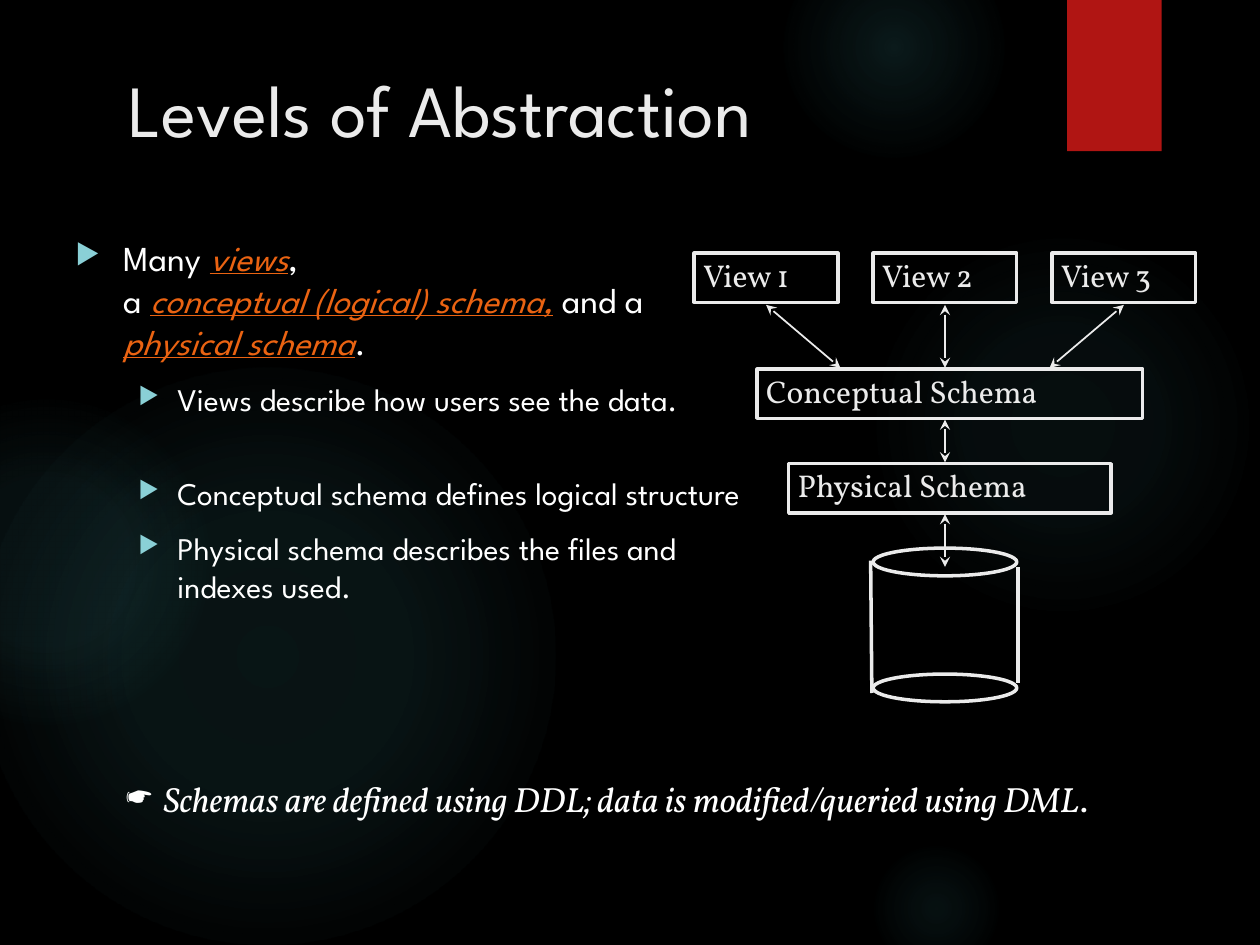
"""Build the Levels of Abstraction slide."""
from dataclasses import dataclass

from lxml.etree import SubElement
from pptx import Presentation
from pptx.dml.color import RGBColor
from pptx.enum.shapes import MSO_CONNECTOR, MSO_SHAPE
from pptx.enum.text import MSO_ANCHOR, PP_ALIGN
from pptx.oxml.ns import qn
from pptx.util import Inches, Pt


@dataclass(frozen=True)
class Theme:
    sans: str = "League Spartan"
    serif: str = "Vollkorn"
    background: str = "000000"
    light: str = "EBEBEB"
    white: str = "FFFFFF"
    accent: str = "EA6312"
    ribbon: str = "B01513"
    bullet: str = "8AD0D6"
    glow: str = "50B9C1"
    title: int = 42
    body: int = 20
    label: int = 18
    outline: int = 2
    arrow: int = 1


THEME = Theme()


def rgb(value):
    return RGBColor.from_string(value)


def add_xml(parent, tag, **attrs):
    return SubElement(parent, qn(tag), {k: str(v) for k, v in attrs.items()})


def add_run(p, text, size, font, color, italic=False, underline=False):
    r = p.add_run()
    r.text = text
    r.font.size = Pt(size)
    r.font.name = font
    r.font.color.rgb = rgb(color)
    r.font.italic = italic
    r.font.underline = underline


def set_bullet(p, char, margin, hang, color, percent=100):
    pPr = p._p.get_or_add_pPr()
    pPr.set("marL", str(Inches(margin)))
    pPr.set("indent", str(-Inches(hang)))
    add_xml(add_xml(pPr, "a:buClr"), "a:srgbClr", val=color)
    add_xml(pPr, "a:buSzPct", val=percent * 1000)
    add_xml(pPr, "a:buChar", char=char)


def add_text_box(s, x, y, w, h):
    box = s.shapes.add_textbox(Inches(x), Inches(y), Inches(w), Inches(h))
    box.text_frame.word_wrap = True
    return box.text_frame


def add_shape(s, kind, x, y, w, h, fill=None, line=None):
    sp = s.shapes.add_shape(kind, Inches(x), Inches(y), Inches(w), Inches(h))
    sp.shadow.inherit = False
    if fill:
        sp.fill.solid()
        sp.fill.fore_color.rgb = rgb(fill)
    else:
        sp.fill.background()
    if line:
        sp.line.color.rgb = rgb(line)
        sp.line.width = Pt(THEME.outline)
    else:
        sp.line.fill.background()
    return sp


def add_glow(s, x, y, size, stops):
    sp = add_shape(s, MSO_SHAPE.OVAL, x, y, size, size)
    sp.fill.gradient()
    grad = sp._element.spPr.find(qn("a:gradFill"))
    for child in list(grad):
        grad.remove(child)
    stop_list = add_xml(grad, "a:gsLst")
    for position, alpha in stops:
        stop = add_xml(stop_list, "a:gs", pos=position * 1000)
        color = add_xml(stop, "a:srgbClr", val=THEME.glow)
        add_xml(color, "a:alpha", val=alpha * 1000)
    shade = add_xml(grad, "a:path", path="circle")
    add_xml(shade, "a:fillToRect", l=50000, t=50000, r=50000, b=50000)


def add_line(s, x1, y1, x2, y2, width, arrows=False):
    line = s.shapes.add_connector(
        MSO_CONNECTOR.STRAIGHT, Inches(x1), Inches(y1), Inches(x2), Inches(y2))
    line.line.color.rgb = rgb(THEME.light)
    line.line.width = Pt(width)
    if arrows:
        ln = line.line._get_or_add_ln()
        add_xml(ln, "a:headEnd", type="stealth")
        add_xml(ln, "a:tailEnd", type="stealth")
    add_xml(line._element.spPr, "a:effectLst")


def add_label_box(s, text, x, y, w):
    sp = add_shape(s, MSO_SHAPE.RECTANGLE, x, y, w, 0.39, line=THEME.light)
    tf = sp.text_frame
    tf.word_wrap = True
    tf.vertical_anchor = MSO_ANCHOR.TOP
    tf.margin_left = Inches(0.07)
    tf.margin_top = tf.margin_bottom = Inches(0.02)
    p = tf.paragraphs[0]
    p.alignment = PP_ALIGN.LEFT
    add_run(p, text, THEME.label, THEME.serif, THEME.light)


def add_backdrop(s):
    s.background.fill.solid()
    s.background.fill.fore_color.rgb = rgb(THEME.background)
    for x, y, size, stops in (
        (6.89, 1.83, 3.08, ((0, 7), (36, 6), (69, 0))),
        (6.22, -0.5, 1.75, ((0, 14), (36, 7), (73, 0))),
        (6.89, 6.67, 1.08, ((0, 9), (36, 5), (66, 0))),
        (-0.17, 2.92, 4.58, ((0, 11), (36, 10), (75, 0))),
        (-0.92, 3.17, 2.58, ((0, 8), (36, 8), (72, 0))),
    ):
        add_glow(s, x, y, size, stops)
    add_shape(s, MSO_SHAPE.RECTANGLE, 8.47, 0, 0.75, 1.2, fill=THEME.ribbon)


def add_title(s):
    tf = add_text_box(s, 0.92, 0.46, 7.4, 1.21)
    add_run(tf.paragraphs[0], "Levels of Abstraction",
            THEME.title, THEME.sans, THEME.light)


def add_body(s):
    tf = add_text_box(s, 0.5, 1.83, 5.5, 4.2)
    p = tf.paragraphs[0]
    set_bullet(p, "▶", 0.38, 0.38, THEME.bullet, 80)
    for text, key_term, underline in (
        ("Many ", False, False),
        ("views", True, True),
        (", \va ", False, False),
        ("conceptual (logical) schema,", True, True),
        (" ", True, False),
        ("and a ", False, False),
        ("physical schema", True, True),
        (".", False, False),
    ):
        color = THEME.accent if key_term else THEME.white
        for i, part in enumerate(text.split("\v")):
            if i:
                p.add_line_break()
            add_run(p, part, THEME.body, THEME.sans, color, key_term, underline)
    for text, space in (
        ("Views describe how users see the data.", 10),
        ("Conceptual schema defines logical structure", 32),
        ("Physical schema describes the files and indexes used.", 10),
    ):
        p = tf.add_paragraph()
        p.level = 1
        set_bullet(p, "▶", 0.81, 0.31, THEME.bullet, 75)
        p.space_before = Pt(space)
        add_run(p, text, THEME.label, THEME.sans, THEME.white)


def add_note(s):
    p = add_text_box(s, 0.9, 6.12, 8.29, 0.43).paragraphs[0]
    set_bullet(p, "☛", 0.3, 0.3, THEME.white)
    add_run(p, "Schemas are defined using DDL; data is modified/queried using DML",
            THEME.body, THEME.serif, THEME.white, italic=True)
    add_run(p, ".", THEME.body, THEME.serif, THEME.white)


def add_disk(s):
    for y in (4.35, 5.35):
        add_shape(s, MSO_SHAPE.OVAL, 6.93, y, 1.14, 0.22, line=THEME.light)
    add_line(s, 6.91, 4.45, 6.92, 5.5, THEME.outline)
    add_line(s, 8.08, 4.5, 8.08, 5.42, THEME.outline)


def add_diagram(s):
    add_disk(s)
    for i in range(3):
        add_label_box(s, f"View {i + 1}", 5.51 + 1.42 * i, 2.01, 1.14)
        add_line(s, 6.08 + 1.42 * i, 2.42, 6.67 + 0.83 * i, 2.92,
                 THEME.arrow, arrows=True)
    add_label_box(s, "Conceptual Schema", 6.01, 2.93, 3.06)
    add_label_box(s, "Physical Schema", 6.26, 3.68, 2.56)
    for top, bottom in ((3.33, 3.67), (4.08, 4.5)):
        add_line(s, 7.5, top, 7.5, bottom, THEME.arrow, arrows=True)


def main():
    prs = Presentation()
    prs.slide_width = Inches(10)
    prs.slide_height = Inches(7.5)
    s = prs.slides.add_slide(prs.slide_layouts[6])
    add_backdrop(s)
    add_title(s)
    add_body(s)
    add_note(s)
    add_diagram(s)
    prs.save("out.pptx")


if __name__ == "__main__":
    main()
